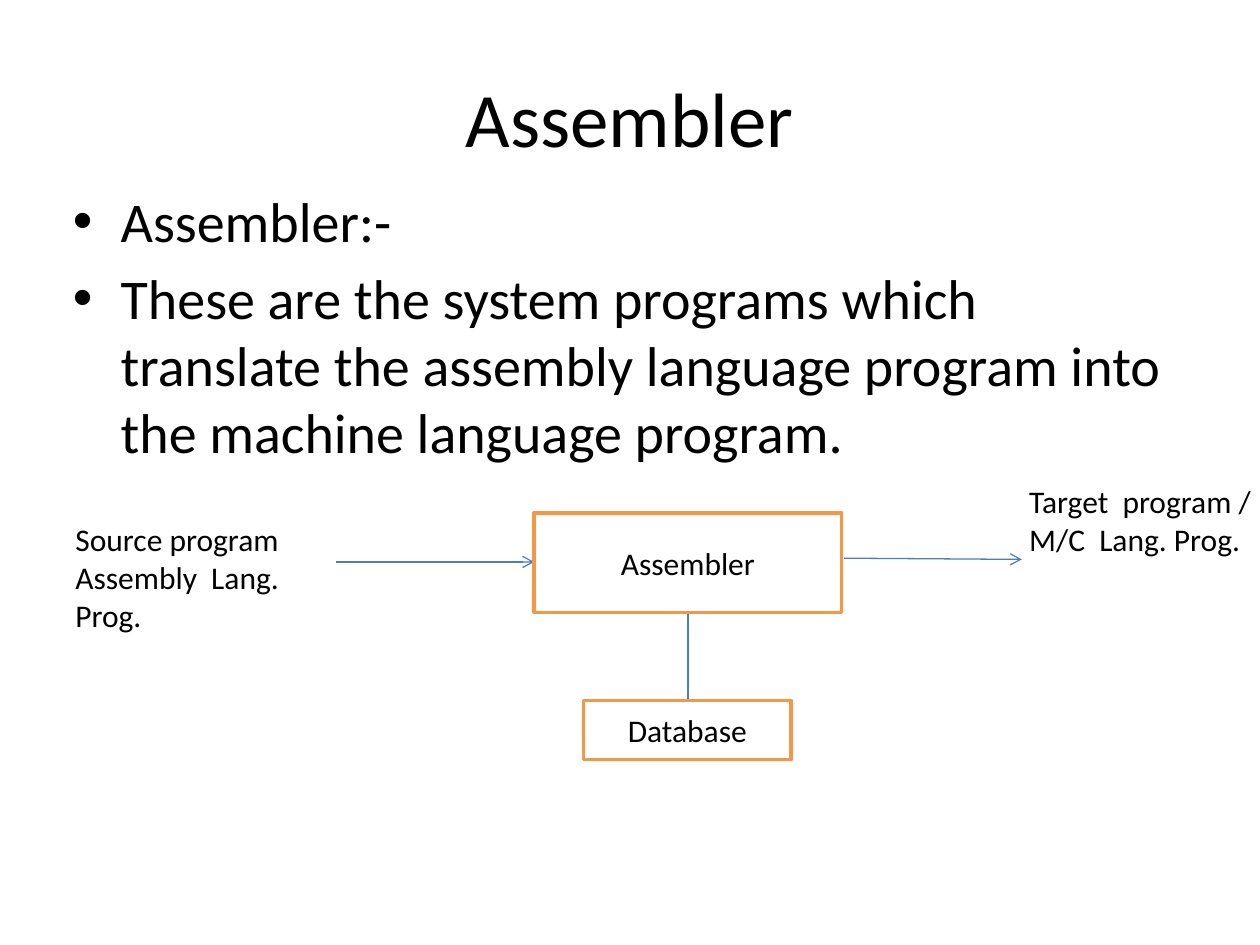
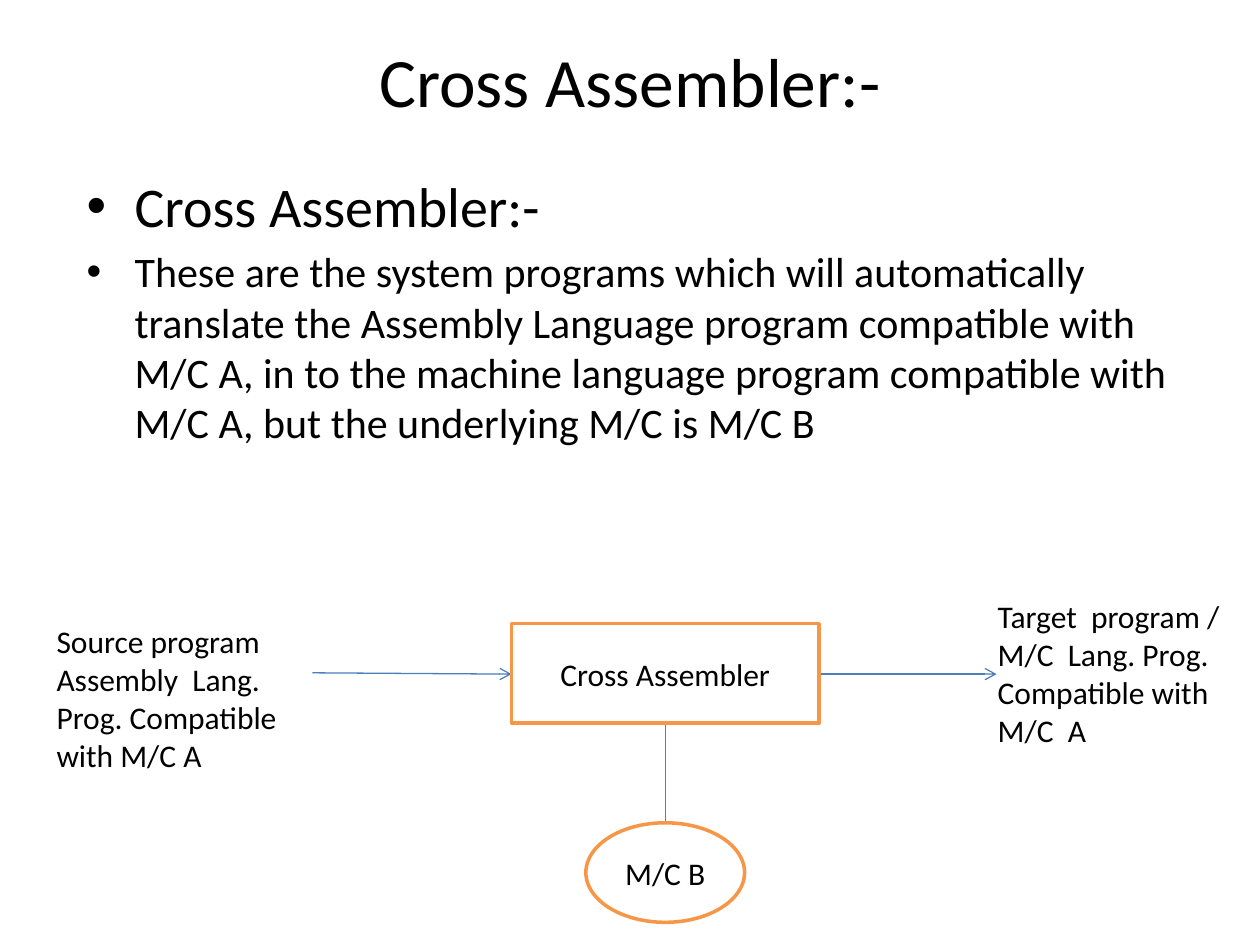
"""Build two slides that explain the assembler and the cross assembler."""
from typing import NamedTuple

from pptx import Presentation
from pptx.dml.color import RGBColor
from pptx.enum.shapes import MSO_CONNECTOR as Connector, MSO_SHAPE as Preset
from pptx.enum.text import MSO_ANCHOR as Anchor, MSO_AUTO_SIZE as AutoSize, PP_ALIGN as Align
from pptx.oxml.ns import qn
from pptx.util import Pt

EMU_PER_PX = 9144
SLIDE_SIZE = (1000, 750)
FONT = "Calibri"
BLACK, WHITE, ORANGE, BLUE = "000000", "FFFFFF", "F79646", "4B7EBC"
BLANK_LAYOUT = 6
TITLE_BOX = (50, 30, 900, 125)
BODY_SIZE = (900, 575)
BODY_INDENT = 38
BODY_SPACING = 0.17
MACHINE_SIZE = (244, 79)
LABEL_WIDTH = 218
LABEL_POINTS = 18


class Bullet(NamedTuple):
    text: str
    points: int


class Label(NamedTuple):
    left: int
    top: int
    height: int
    lines: tuple[str, ...]


class Node(NamedTuple):
    preset: Preset
    left: int
    top: int
    width: int
    height: int
    text: str


class Link(NamedTuple):
    start: tuple[int, int]
    end: tuple[int, int]
    arrow: bool = False


class Topic(NamedTuple):
    title: str
    title_points: float
    title_anchor: Anchor
    body_corner: tuple[int, int]
    bullets: tuple[Bullet, ...]
    links: tuple[Link, ...]
    nodes: tuple[Node, ...]
    labels: tuple[Label, ...]


TOPICS = (
    Topic(
        "Assembler", 44, Anchor.MIDDLE, (48, 143),
        (
            Bullet("Assembler:-", 32),
            Bullet("These are the system programs which translate the assembly "
                   "language program into the machine language program.", 32),
        ),
        (
            Link((267, 446), (424, 446), True),
            Link((670, 443), (811, 444), True),
            Link((546, 485), (546, 556)),
        ),
        (
            Node(Preset.RECTANGLE, 424, 407, *MACHINE_SIZE, "Assembler"),
            Node(Preset.RECTANGLE, 463, 556, 165, 47, "Database"),
        ),
        (
            Label(50, 408, 101, ("Source program", "Assembly  Lang. Prog.")),
            Label(807, 378, 131, ("Target  program /", "M/C  Lang. Prog.")),
        ),
    ),
    Topic(
        "Cross Assembler:-", 39.6, Anchor.TOP, (59, 131),
        (
            Bullet("Cross Assembler:-", 32),
            Bullet("These are the system programs which will automatically translate "
                   "the Assembly Language program compatible with M/C A, in to the "
                   "machine language program compatible with M/C A, but the "
                   "underlying M/C is M/C B", 24),
        ),
        (
            Link((248, 534), (406, 535), True),
            Link((650, 535), (791, 535), True),
            Link((528, 574), (528, 668)),
        ),
        (
            Node(Preset.RECTANGLE, 406, 495, *MACHINE_SIZE, "Cross Assembler"),
            Node(Preset.OVAL, 465, 653, 126, 79, "M/C B"),
        ),
        (
            Label(35, 489, 131, ("Source program",
                                 "Assembly  Lang. Prog. Compatible with M/C A")),
            Label(782, 469, 131, ("Target  program /",
                                  "M/C  Lang. Prog. Compatible with M/C  A")),
        ),
    ),
)


def px(*lengths: int) -> list[int]:
    """Turn px lengths into EMU."""
    return [length * EMU_PER_PX for length in lengths]


def color(value: str) -> RGBColor:
    """Turn a hex string into a colour."""
    return RGBColor.from_string(value)


def format_paragraph(paragraph, points: float, align: Align = Align.LEFT) -> None:
    """Set alignment and the shared font on a paragraph."""
    paragraph.alignment = align
    for run in paragraph.runs:
        run.font.name = FONT
        run.font.size = Pt(points)
        run.font.color.rgb = color(BLACK)


def add_text(slide, box: tuple[int, ...], lines: list[str]):
    """Add a wrapping text box with one paragraph per line."""
    text_frame = slide.shapes.add_textbox(*px(*box)).text_frame
    text_frame.word_wrap = True
    text_frame.text = "\n".join(lines)
    return text_frame


def add_title(slide, topic: Topic) -> None:
    """Add the centred slide title."""
    text_frame = add_text(slide, TITLE_BOX, [topic.title])
    text_frame.vertical_anchor = topic.title_anchor
    text_frame.margin_top = text_frame.margin_bottom = 0
    format_paragraph(text_frame.paragraphs[0], topic.title_points, Align.CENTER)


def add_body(slide, topic: Topic) -> None:
    """Add the bulleted explanation."""
    lines = [bullet.text for bullet in topic.bullets]
    text_frame = add_text(slide, (*topic.body_corner, *BODY_SIZE), lines)
    indent = px(BODY_INDENT)[0]
    for paragraph, bullet in zip(text_frame.paragraphs, topic.bullets):
        format_paragraph(paragraph, bullet.points)
        paragraph.space_before = Pt(bullet.points * BODY_SPACING)
        properties = paragraph._p.get_or_add_pPr()
        properties.set("marL", str(indent))
        properties.set("indent", str(-indent))
        for tag, name, value in (("a:buFont", "typeface", "Arial"), ("a:buChar", "char", "•")):
            element = properties.makeelement(qn(tag), {name: value})
            properties.append(element)


def add_link(slide, link: Link) -> None:
    """Add a thin line, with an arrowhead at its end if wanted."""
    connector = slide.shapes.add_connector(Connector.STRAIGHT, *px(*link.start, *link.end))
    connector.line.color.rgb = color(BLUE)
    connector.line.width = Pt(0.75)
    if link.arrow:
        line = connector.line._get_or_add_ln()
        line.append(line.makeelement(qn("a:tailEnd"), {"type": "arrow"}))
    properties = connector._element.spPr
    properties.append(properties.makeelement(qn("a:effectLst"), {}))


def add_node(slide, node: Node) -> None:
    """Add an outlined shape with centred text."""
    box = px(node.left, node.top, node.width, node.height)
    shape = slide.shapes.add_shape(node.preset, *box)
    shape.shadow.inherit = False
    shape.fill.solid()
    shape.fill.fore_color.rgb = color(WHITE)
    shape.line.color.rgb = color(ORANGE)
    shape.line.width = Pt(2)
    shape.text_frame.text = node.text
    shape.text_frame.vertical_anchor = Anchor.MIDDLE
    format_paragraph(shape.text_frame.paragraphs[0], LABEL_POINTS, Align.CENTER)


def add_label(slide, label: Label) -> None:
    """Add the text beside an arrow."""
    box = (label.left, label.top, LABEL_WIDTH, label.height)
    text_frame = add_text(slide, box, label.lines)
    text_frame.auto_size = AutoSize.SHAPE_TO_FIT_TEXT
    for paragraph in text_frame.paragraphs:
        format_paragraph(paragraph, LABEL_POINTS)


def add_topic(presentation, topic: Topic) -> None:
    """Add one slide with title, bullets and diagram."""
    slide = presentation.slides.add_slide(presentation.slide_layouts[BLANK_LAYOUT])
    add_body(slide, topic)
    add_title(slide, topic)
    for link in topic.links:
        add_link(slide, link)
    for node in topic.nodes:
        add_node(slide, node)
    for label in topic.labels:
        add_label(slide, label)


def main() -> None:
    """Build and save the presentation."""
    presentation = Presentation()
    presentation.slide_width, presentation.slide_height = px(*SLIDE_SIZE)
    for topic in TOPICS:
        add_topic(presentation, topic)
    presentation.save("out.pptx")


if __name__ == "__main__":
    main()
